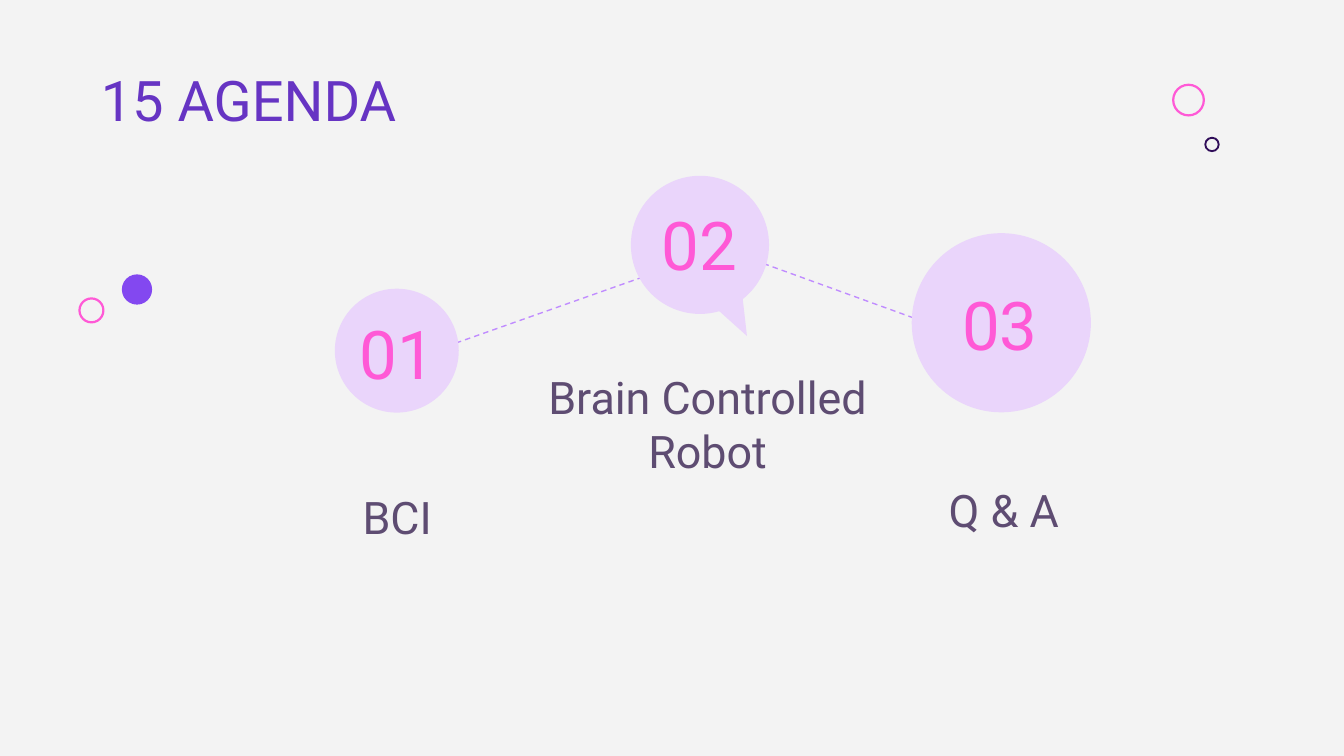
from lxml import etree
from pptx import Presentation
from pptx.dml.color import RGBColor
from pptx.enum.dml import MSO_LINE
from pptx.enum.shapes import MSO_CONNECTOR, MSO_SHAPE
from pptx.enum.text import MSO_ANCHOR, MSO_AUTO_SIZE, PP_ALIGN
from pptx.oxml.ns import qn
from pptx.util import Pt

OVAL, BUBBLE = MSO_SHAPE.OVAL, MSO_SHAPE.OVAL_CALLOUT
STRAIGHT, DASH = MSO_CONNECTOR.STRAIGHT, MSO_LINE.DASH
TOP, MIDDLE, BOTTOM = MSO_ANCHOR.TOP, MSO_ANCHOR.MIDDLE, MSO_ANCHOR.BOTTOM
LEFT, CENTER = PP_ALIGN.LEFT, PP_ALIGN.CENTER

PAPER = RGBColor(0xF3, 0xF3, 0xF3)
PINK = RGBColor(0xFF, 0x59, 0xD6)
NAVY = RGBColor(0x30, 0x0D, 0x59)
VIOLET = RGBColor(0x83, 0x48, 0xF0)
LILAC = RGBColor(0xEA, 0xD5, 0xFB)
MAUVE = RGBColor(0xC0, 0x8C, 0xFF)
PURPLE = RGBColor(0x66, 0x34, 0xC3)
GREY = RGBColor(0x5E, 0x4C, 0x72)
FONT = "Roboto"

# centre x, centre y, radius, colour, line width
RINGS = [
    (636.7, 53.6, 8.2, PINK, 1.2),
    (649.3, 77.4, 3.6, NAVY, 1),
    (49, 166.3, 6.4, PINK, 1.2),
]
# centre x, centre y, radius, preset
DISCS = [
    (212.6, 187.9, 33.2, OVAL),
    (375, 131.2, 37, BUBBLE),
    (536.4, 172.9, 48, OVAL),
]
# start x, start y, end x, end y
LINKS = [(375.1, 128.9, 532.1, 185.8), (210.2, 195.8, 377.3, 136.8)]
# text, (left, top, width, height)
LABELS = [
    ("BCI", (111.6, 231.1, 202.3, 67)),
    ("Q & A", (426.2, 225.4, 223.2, 69.1)),
    ("Brain Controlled Robot", (270, 211.7, 218.2, 51.1)),
]
NUMBERS = [
    ("01", (184.3, 166.3, 56.9, 45.4)),
    ("02", (322.6, 108, 104.4, 45.4)),
    ("03", (488.2, 150.5, 95, 45.4)),
]


def add_round(slide, x, y, radius, preset=OVAL):
    """Add a bare round shape by its centre and radius."""
    shape = slide.shapes.add_shape(
        preset, Pt(x - radius), Pt(y - radius), Pt(2 * radius), Pt(2 * radius))
    shape.shadow.inherit = False
    return shape


def add_ring(slide, x, y, radius, color, width):
    ring = add_round(slide, x, y, radius)
    ring.fill.background()
    ring.line.color.rgb = color
    ring.line.width = Pt(width)


def add_disc(slide, x, y, radius, color, preset=OVAL):
    disc = add_round(slide, x, y, radius, preset)
    disc.fill.solid()
    disc.fill.fore_color.rgb = color
    disc.line.fill.background()
    if preset == BUBBLE:
        disc.adjustments[0] = 0.34
        disc.adjustments[1] = 0.66


def add_link(slide, *ends):
    link = slide.shapes.add_connector(STRAIGHT, *map(Pt, ends))
    link.line.color.rgb = MAUVE
    link.line.width = Pt(0.75)
    link.line.dash_style = DASH
    props = link._element.find(qn("p:spPr"))
    etree.SubElement(props, qn("a:effectLst"))


def write(shape, text, size, color, anchor, align):
    frame = shape.text_frame
    frame.word_wrap = True
    frame.auto_size = MSO_AUTO_SIZE.NONE
    frame.vertical_anchor = anchor
    frame.margin_left = frame.margin_right = Pt(7.2)
    frame.margin_top = frame.margin_bottom = Pt(7.2)
    par = frame.paragraphs[0]
    par.alignment = align
    run = par.add_run()
    run.text = text
    run.font.name = FONT
    run.font.size = Pt(size)
    run.font.color.rgb = color


def add_title(slide, text):
    title = slide.shapes.title
    title.left, title.top = Pt(46.8), Pt(28.1)
    title.width, title.height = Pt(529.9), Pt(51.1)
    write(title, text, 30, PURPLE, TOP, LEFT)


def add_text(slide, text, box, size, color, anchor):
    shape = slide.shapes.add_textbox(*map(Pt, box))
    write(shape, text, size, color, anchor, CENTER)


def main():
    deck = Presentation()
    deck.slide_width, deck.slide_height = Pt(720), Pt(405)
    slide = deck.slides.add_slide(deck.slide_layouts[5])
    slide.background.fill.solid()
    slide.background.fill.fore_color.rgb = PAPER

    add_title(slide, "15 AGENDA")
    for ring in RINGS:
        add_ring(slide, *ring)
    add_disc(slide, 73.4, 155.1, 8.1, VIOLET)
    for link in LINKS:
        add_link(slide, *link)
    for text, box in LABELS:
        add_text(slide, text, box, 24, GREY, BOTTOM)
    for x, y, radius, preset in DISCS:
        add_disc(slide, x, y, radius, LILAC, preset)
    for text, box in NUMBERS:
        add_text(slide, text, box, 36, PINK, MIDDLE)

    deck.save("out.pptx")


if __name__ == "__main__":
    main()
